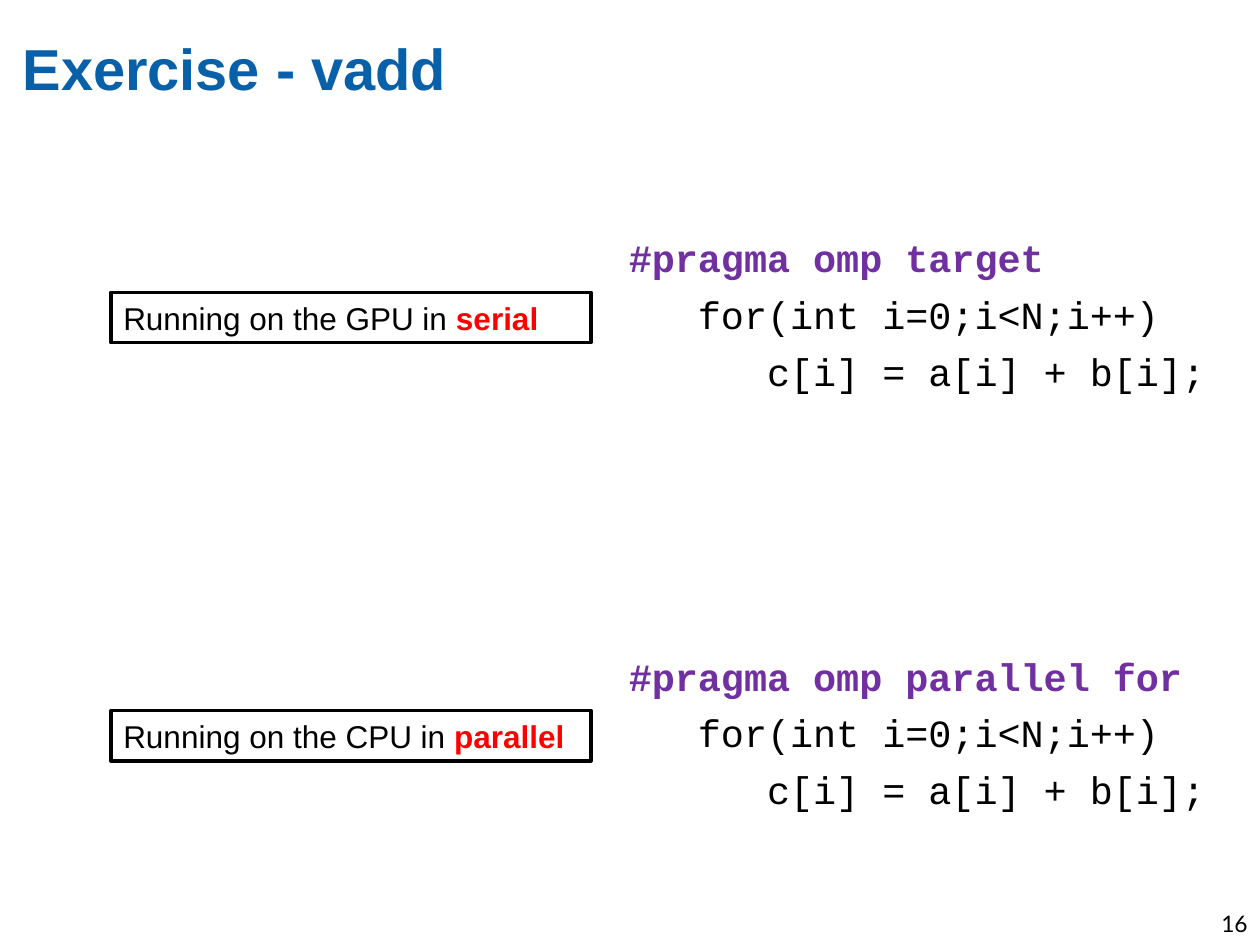
from pptx import Presentation
from pptx.dml.color import RGBColor
from pptx.enum import shapes, text
from pptx.oxml.ns import qn
from pptx.util import Inches, Pt

# Content
TITLE = "Exercise - vadd"
PAGE = "16"
LOOP = ["   for(int i=0;i<N;i++)", "      c[i] = a[i] + b[i];"]
EXERCISES = [  # pragma, label, highlighted word
    ("#pragma omp target", "Running on the GPU in ", "serial"),
    ("#pragma omp parallel for", "Running on the CPU in ", "parallel"),
]
BLUE, PURPLE, RED, BLACK, WHITE = "0860A8", "7030A0", "FF0000", "000000", "FFFFFF"

# Layout in inches
CODE_TOP, ROW_STEP = 1.37, 3.32
LABEL_OFFSET = 0.95


def rgb(color):
    return RGBColor.from_string(color)


def add_run(p, words, font, size, color, bold=False):
    r = p.add_run()
    r.text = words
    r.font.name, r.font.size, r.font.bold = font, Pt(size), bold
    r.font.color.rgb = rgb(color)


def place(s, left, top, width, height):
    s.left, s.top = Inches(left), Inches(top)
    s.width, s.height = Inches(width), Inches(height)


def prepare(tf, top_inset):
    tf.margin_left = tf.margin_right = tf.margin_bottom = 0
    tf.margin_top = Inches(top_inset)
    tf.vertical_anchor = text.MSO_ANCHOR.TOP
    tf.auto_size = text.MSO_AUTO_SIZE.NONE
    tf.word_wrap = True


def add_code(s, top, pragma):
    place(s, 4.99, top, 4.6, 2.29)
    tf = s.text_frame
    prepare(tf, 0.49)
    for i, line in enumerate([pragma] + LOOP):
        p = tf.add_paragraph() if i else tf.paragraphs[0]
        pPr = p._p.get_or_add_pPr()
        pPr.set("marL", "0")
        pPr.set("indent", "0")
        pPr.append(pPr.makeelement(qn("a:buNone"), {}))
        p.space_before = Pt(6 if i else 0)
        add_run(p, line, "Courier New", 22, BLACK if i else PURPLE, i == 0)


def add_label(slide, top, label, word):
    s = slide.shapes.add_shape(shapes.MSO_SHAPE.RECTANGLE, Inches(0.88),
                               Inches(top), Inches(3.81), Inches(0.4))
    s.shadow.inherit = False
    s.fill.solid()
    s.fill.fore_color.rgb = rgb(WHITE)
    s.line.color.rgb = rgb(BLACK)
    s.line.width = Pt(2)
    tf = s.text_frame
    tf.word_wrap = True
    tf.auto_size = text.MSO_AUTO_SIZE.SHAPE_TO_FIT_TEXT
    p = tf.paragraphs[0]
    p.alignment = text.PP_ALIGN.LEFT
    add_run(p, label, "Arial", 18, BLACK)
    add_run(p, word, "Arial", 18, RED, True)


def main():
    prs = Presentation()
    prs.slide_width, prs.slide_height = Inches(10), Inches(7.5)
    slide = prs.slides.add_slide(prs.slide_layouts[3])

    # Title
    title = slide.shapes.title
    place(title, 0.18, 0.21, 9.01, 0.97)
    prepare(title.text_frame, 0.05)
    p = title.text_frame.paragraphs[0]
    p.alignment = text.PP_ALIGN.LEFT
    add_run(p, TITLE, "Arial", 33, BLUE, True)

    # Code and label for each exercise
    bodies = list(slide.placeholders)[1:]
    for i, (body, (pragma, label, word)) in enumerate(zip(bodies, EXERCISES)):
        top = CODE_TOP + i * ROW_STEP
        add_code(body, top, pragma)
        add_label(slide, top + LABEL_OFFSET, label, word)

    # Page number
    s = slide.shapes.add_textbox(Inches(9.17), Inches(7.17), Inches(0.83), Inches(0.33))
    s.text_frame.word_wrap = True
    p = s.text_frame.paragraphs[0]
    p.alignment = text.PP_ALIGN.RIGHT
    add_run(p, PAGE, "Lato", 13, BLACK)

    prs.save("out.pptx")


if __name__ == "__main__":
    main()
